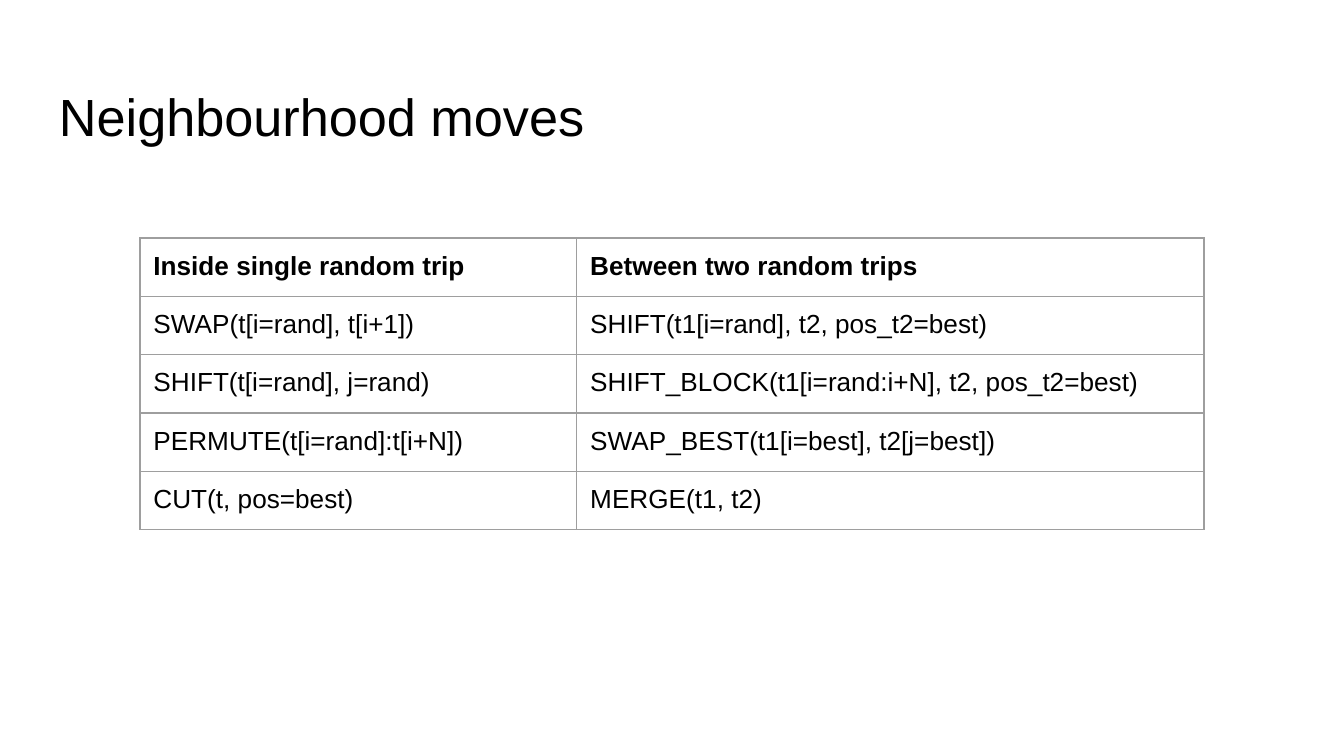
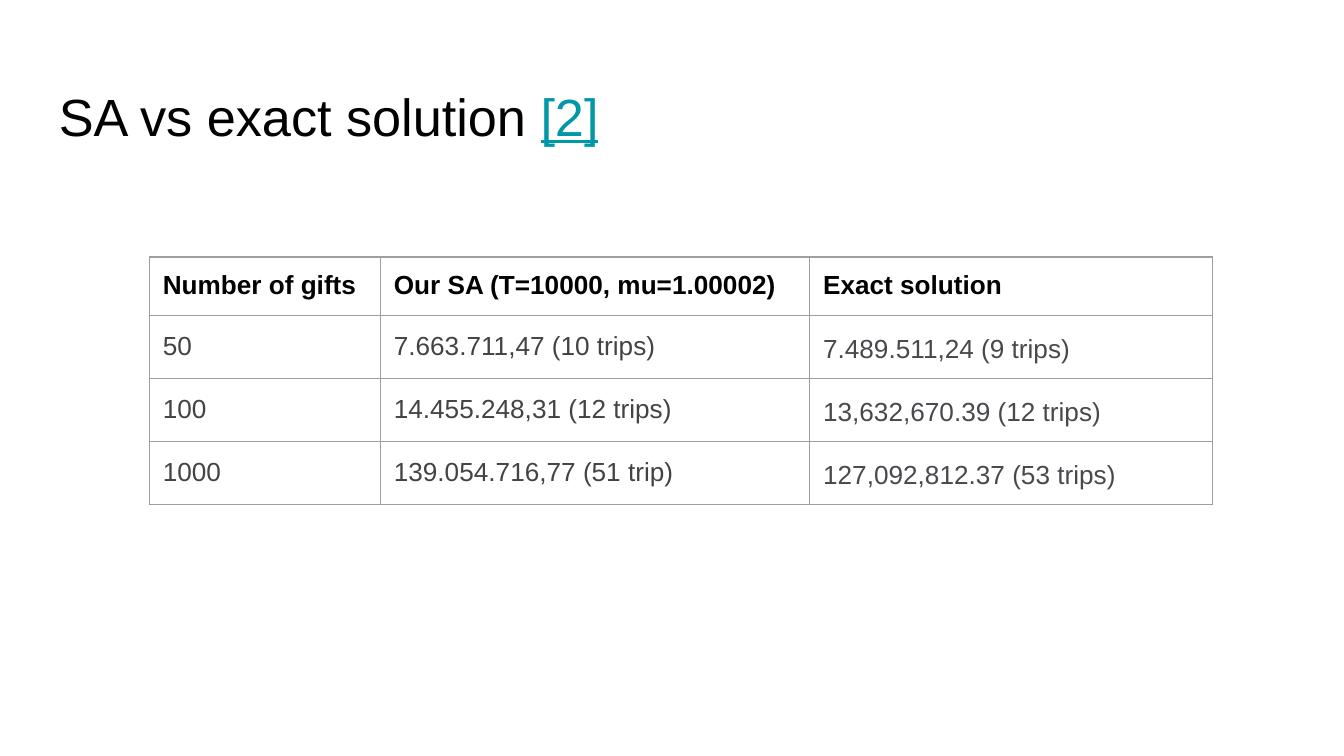
from dataclasses import dataclass

from lxml import etree
from pptx import Presentation
from pptx.dml.color import RGBColor
from pptx.enum.text import MSO_ANCHOR
from pptx.oxml.ns import qn
from pptx.util import Pt

TOP = MSO_ANCHOR.TOP
MIDDLE = MSO_ANCHOR.MIDDLE
BLANK_LAYOUT = 6


@dataclass(frozen=True)
class Theme:
    font: str = "Arial"
    title_size: float = 28
    table_size: float = 14
    text: str = "000000"
    value: str = "434343"
    reference: str = "47494D"
    link: str = "0097A7"
    border: str = "9E9E9E"
    background: str = "FFFFFF"
    border_width: float = 0.75
    inset: float = 7.2
    row_height: float = 30


THEME = Theme()

MOVES = [
    ("Inside single random trip", "Between two random trips"),
    ("SWAP(t[i=rand], t[i+1])", "SHIFT(t1[i=rand], t2, pos_t2=best)"),
    ("SHIFT(t[i=rand], j=rand)", "SHIFT_BLOCK(t1[i=rand:i+N], t2, pos_t2=best)"),
    ("PERMUTE(t[i=rand]:t[i+N])", "SWAP_BEST(t1[i=best], t2[j=best])"),
    ("CUT(t, pos=best)", "MERGE(t1, t2)"),
]

RESULTS = [
    ("Number of gifts", "Our SA (T=10000, mu=1.00002)", "Exact solution"),
    ("50", "7.663.711,47 (10 trips)", "7.489.511,24 (9 trips)"),
    ("100", "14.455.248,31 (12 trips)", "13,632,670.39 (12 trips)"),
    ("1000", "139.054.716,77 (51 trip)", "127,092,812.37 (53 trips)"),
]


def style_run(r, size, color, bold=False):
    r.font.name = THEME.font
    r.font.size = Pt(size)
    r.font.bold = bold
    r.font.color.rgb = RGBColor.from_string(color)


def add_slide(prs):
    s = prs.slides.add_slide(prs.slide_layouts[BLANK_LAYOUT])
    fill = s.background.fill
    fill.solid()
    fill.fore_color.rgb = RGBColor.from_string(THEME.background)
    return s


def add_title(s, title, citation=None):
    """Add the slide title, with an underlined citation mark after it if given."""
    tf = s.shapes.add_textbox(Pt(24.5), Pt(35), Pt(671), Pt(45.4)).text_frame
    tf.word_wrap = True
    tf.vertical_anchor = TOP
    tf.margin_left = tf.margin_right = tf.margin_bottom = Pt(THEME.inset)
    tf.margin_top = Pt(10)
    p = tf.paragraphs[0]
    p.text = title
    style_run(p.runs[0], THEME.title_size, THEME.text)
    if citation:
        r = p.add_run()
        r.text = citation
        style_run(r, THEME.title_size, THEME.link)
        r.font.underline = True


def set_borders(cell):
    tc_pr = cell._tc.get_or_add_tcPr()
    for side in ("lnL", "lnR", "lnT", "lnB"):
        ln = etree.SubElement(tc_pr, qn(f"a:{side}"), w=str(Pt(THEME.border_width)))
        fill = etree.SubElement(ln, qn("a:solidFill"))
        etree.SubElement(fill, qn("a:srgbClr"), val=THEME.border)


def fill_cell(cell, text, color, bold, anchor):
    cell.text_frame.text = text
    cell.vertical_anchor = anchor
    cell.margin_left = cell.margin_right = Pt(THEME.inset)
    cell.margin_top = cell.margin_bottom = Pt(THEME.inset)
    style_run(cell.text_frame.paragraphs[0].runs[0], THEME.table_size, color, bold)
    set_borders(cell)
    cell.fill.background()


def add_grid(s, left, top, widths, rows, colors, body_anchor=TOP):
    """Add a bordered table with a bold header; colors holds one per body column."""
    frame = s.shapes.add_table(len(rows), len(widths), Pt(left), Pt(top),
                               Pt(sum(widths)), Pt(THEME.row_height * len(rows)))
    table = frame.table
    table.first_row = table.horz_banding = False
    for column, width in zip(table.columns, widths):
        column.width = Pt(width)
    for i, row in enumerate(rows):
        table.rows[i].height = Pt(THEME.row_height)
        header = i == 0
        for j, text in enumerate(row):
            fill_cell(table.cell(i, j), text, THEME.text if header else colors[j],
                      header, TOP if header else body_anchor)
    return table


def space_paragraph(p):
    p.line_spacing = 1.15
    p.space_before = p.space_after = Pt(9)
    p_pr = p._p.get_or_add_pPr()
    p_pr.set("marL", "0")
    p_pr.set("indent", str(Pt(-6)))


def add_moves_slide(prs):
    s = add_slide(prs)
    add_title(s, "Neighbourhood moves")
    add_grid(s, 75, 127.5, (234, 336), MOVES, (THEME.text, THEME.text))


def add_results_slide(prs):
    s = add_slide(prs)
    add_title(s, "SA vs exact solution ", "[2]")
    table = add_grid(s, 80, 137.7, (123.8, 230, 216), RESULTS,
                     (THEME.value, THEME.value, THEME.reference), MIDDLE)
    for i in range(1, len(RESULTS)):
        space_paragraph(table.cell(i, 2).text_frame.paragraphs[0])


def main():
    prs = Presentation()
    prs.slide_width, prs.slide_height = Pt(720), Pt(405)
    add_moves_slide(prs)
    add_results_slide(prs)
    prs.save("out.pptx")


if __name__ == "__main__":
    main()
